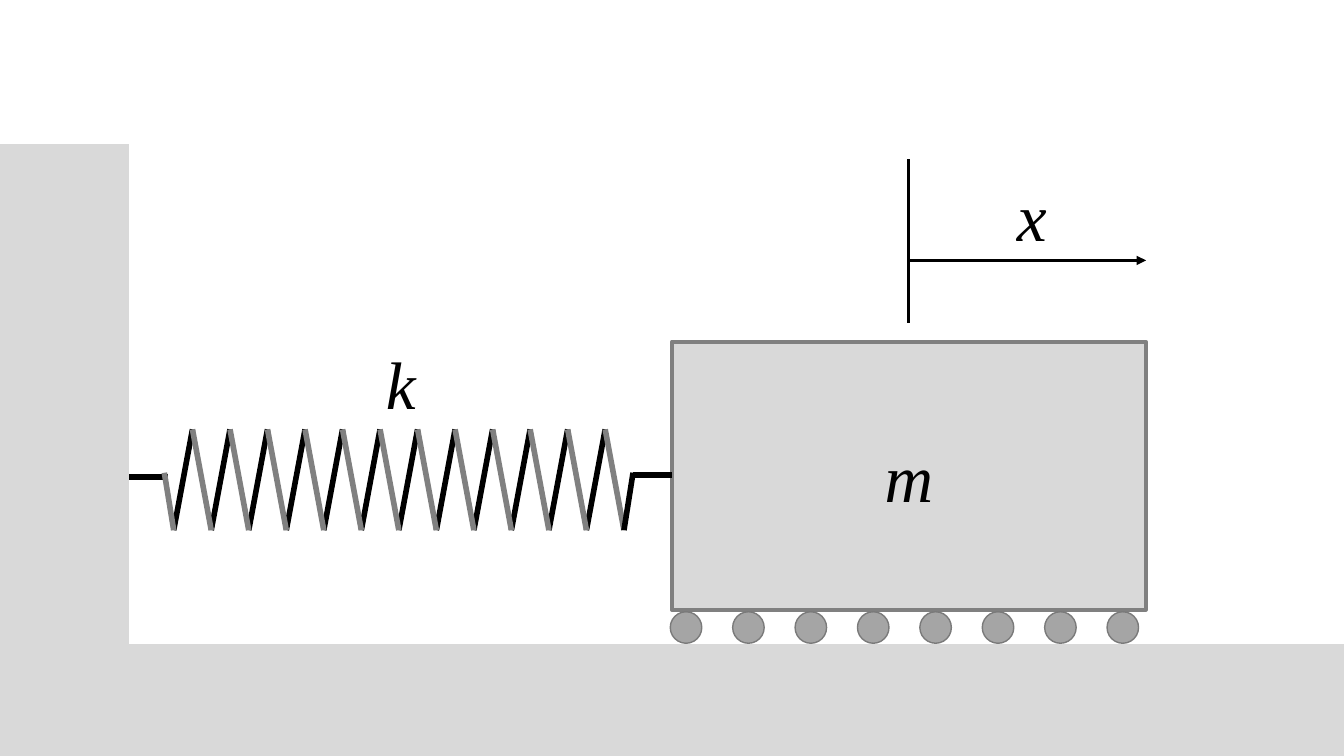
from lxml.etree import SubElement
from pptx import Presentation
from pptx.dml.color import RGBColor as RGB
from pptx.enum.shapes import MSO_CONNECTOR as Link, MSO_SHAPE as Kind
from pptx.enum.text import MSO_ANCHOR as Anchor, PP_ALIGN as Align
from pptx.oxml.ns import qn
from pptx.util import Pt

BLACK, GREY, LIGHT, WHITE = "000000", "808080", "D9D9D9", "FFFFFF"
WIDE, HIGH = 960, 540
WALL, FLOOR = 92.2, 460
TOP, LOW, MID = 306.7, 378.7, 337.7
PEAK, PITCH, HALF, COILS = 137.5, 26.8, 13.4, 12


def paint(target, color):
    """Give a fill or font a solid colour."""
    target.solid()
    target.fore_color.rgb = RGB.from_string(color)


def write(frame, text, size=48, font="Times New Roman", color=BLACK,
          italic=True, align=Align.LEFT, anchor=Anchor.TOP, wrap=False):
    """Set one formatted line of text in a frame."""
    frame.word_wrap = wrap
    frame.vertical_anchor = anchor
    para = frame.paragraphs[0]
    para.alignment = align
    run = para.add_run()
    run.text = text
    run.font.size = Pt(size)
    run.font.name = font
    run.font.italic = italic
    paint(run.font.fill, color)


def block(shapes, kind, left, top, width, height, fill, edge=None, weight=1):
    """Add a filled shape, outlined if an edge colour is given."""
    shape = shapes.add_shape(kind, Pt(left), Pt(top), Pt(width), Pt(height))
    shape.shadow.inherit = False
    paint(shape.fill, fill)
    if edge:
        paint(shape.line.fill, edge)
        shape.line.width = Pt(weight)
    else:
        shape.line.fill.background()
    return shape


def line(shapes, start, end, color=BLACK, weight=2.25, arrow=False):
    """Draw a straight line, with an arrowhead at its end if asked."""
    link = shapes.add_connector(Link.STRAIGHT, *map(Pt, start + end))
    paint(link.line.fill, color)
    link.line.width = Pt(weight)
    if arrow:
        SubElement(link.line._get_or_add_ln(), qn("a:tailEnd"), type="triangle")
    SubElement(link._element.spPr, qn("a:effectLst"))


def label(shapes, text, left, top):
    """Place a symbol in a text box."""
    box = shapes.add_textbox(Pt(left), Pt(top), Pt(36), Pt(65.5))
    write(box.text_frame, text)


def spring(shapes):
    """Draw the coils and both end wires as one group."""
    coil = shapes.add_group_shape().shapes
    peaks = [PEAK + PITCH * i for i in range(COILS)]
    first, last = peaks[0] - HALF, peaks[-1] + HALF
    for color, side in ((BLACK, -HALF), (GREY, HALF)):
        for peak in peaks:
            line(coil, (peak + side, LOW), (peak, TOP), color, 4)
    line(coil, (last, LOW), (452.2, MID), weight=4)
    line(coil, (120.2, 340.6), (WALL, 340.6), weight=4)
    line(coil, (first, LOW), (117.4, MID), GREY, 4)
    line(coil, (480, 339.1), (452.2, 339.1), weight=4)


def main():
    """Build the spring and mass slide."""
    deck = Presentation()
    deck.slide_width, deck.slide_height = Pt(WIDE), Pt(HIGH)
    shapes = deck.slides.add_slide(deck.slide_layouts[6]).shapes

    block(shapes, Kind.RECTANGLE, 0, 103, WIDE, HIGH - 103, LIGHT)
    block(shapes, Kind.RECTANGLE, WALL, 51.8, WIDE - WALL, FLOOR - 51.8, WHITE)
    mass = block(shapes, Kind.RECTANGLE, 480, 244.1, 338.4, 191.5, LIGHT, GREY, 3)
    write(mass.text_frame, "m", align=Align.CENTER, anchor=Anchor.MIDDLE, wrap=True)

    label(shapes, "k", 268.6, 241.2)
    line(shapes, (649.2, 113.8), (649.2, 230.4))
    line(shapes, (649.2, 186), (818.6, 186), arrow=True)
    label(shapes, "x", 719.3, 121)
    spring(shapes)
    for i in range(8):
        block(shapes, Kind.OVAL, 478.8 + 44.57 * i, 437, 22.5, 22.5,
              "A5A5A5", "7A7A7A")
    deck.save("out.pptx")


if __name__ == "__main__":
    main()
